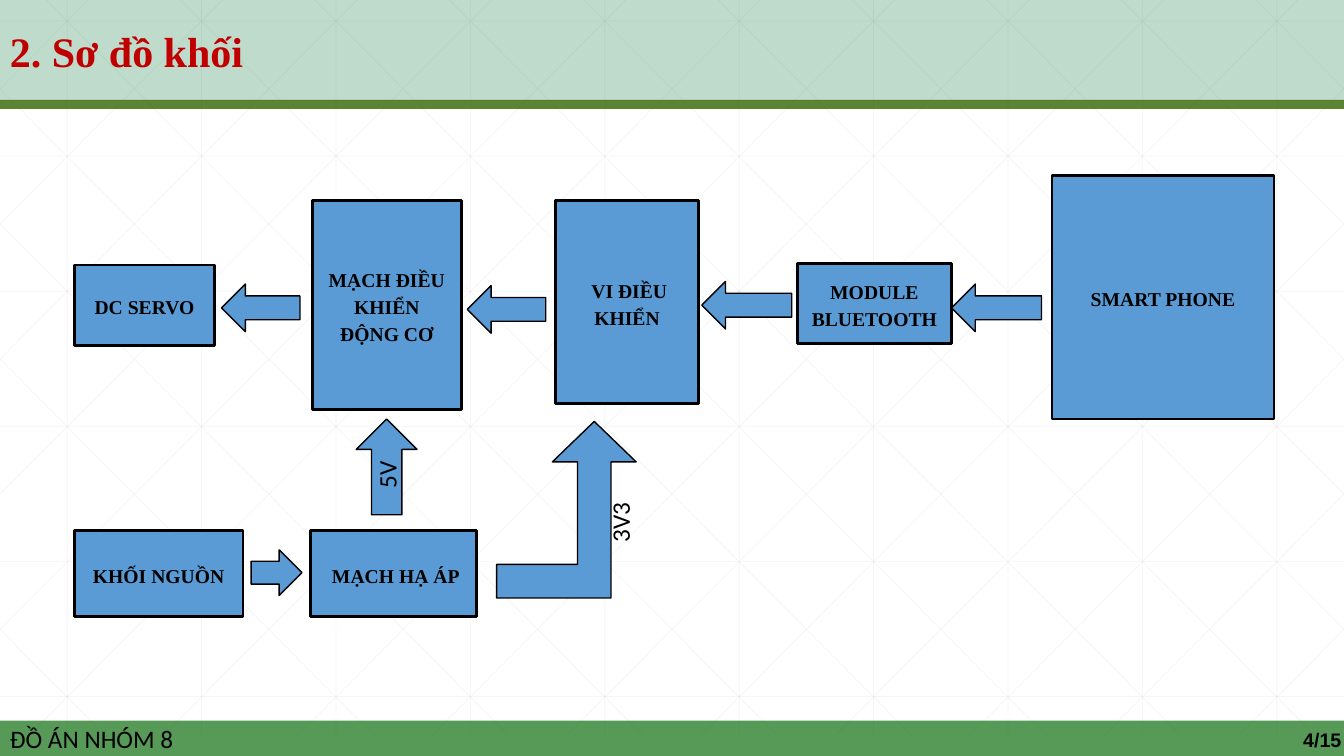
from pptx import Presentation
from pptx.dml.color import RGBColor
from pptx.enum.shapes import MSO_CONNECTOR, MSO_SHAPE
from pptx.enum.text import MSO_ANCHOR, PP_ALIGN
from pptx.oxml.ns import qn
from pptx.util import Pt
from lxml import etree

RECTANGLE = MSO_SHAPE.RECTANGLE
LEFT_ARROW = MSO_SHAPE.LEFT_ARROW
RIGHT_ARROW = MSO_SHAPE.RIGHT_ARROW
BENT_UP_ARROW = MSO_SHAPE.BENT_UP_ARROW
STRAIGHT = MSO_CONNECTOR.STRAIGHT
CENTER, LEFT = PP_ALIGN.CENTER, PP_ALIGN.LEFT
MIDDLE, TOP = MSO_ANCHOR.MIDDLE, MSO_ANCHOR.TOP

BLACK = RGBColor(0x00, 0x00, 0x00)
BLUE = RGBColor(0x5B, 0x9B, 0xD5)
RED = RGBColor(0xC0, 0x00, 0x00)
GRID_GRAY = RGBColor(0xD9, 0xD9, 0xD9)
HEADER_GREEN = RGBColor(0x00, 0x70, 0x33)
RULE_GREEN = RGBColor(0x33, 0x66, 0x00)
FOOTER_GREEN = RGBColor(0x00, 0x66, 0x00)

# Content: lengths in points, frames are (left, top, width, height)
WIDTH, HEIGHT = 960, 540
TITLE = "2. Sơ đồ khối"
FOOTER = "ĐỒ ÁN NHÓM 8"
PAGE_NUMBER = "4/15"

BLOCKS = [
    ("KHỐI NGUỒN", (53.1, 378.9, 120.5, 61.7)),
    (" VI ĐIỀU KHIỂN", (396.8, 143.2, 102.2, 145.2)),
    ("MẠCH ĐIỀU KHIỂN ĐỘNG CƠ", (223.2, 143.2, 106.2, 149.4)),
    ("MODULE BLUETOOTH", (569.5, 188.1, 110.2, 57.5)),
    ("SMART PHONE", (751.5, 125.4, 158.5, 174)),
    ("DC SERVO", (53.1, 189.3, 100.2, 57.5)),
    (" MẠCH HẠ ÁP", (221.8, 378.9, 118.4, 61.7)),
]
ARROWS = [
    (LEFT_ARROW, (158.3, 202.9, 56, 34)),
    (LEFT_ARROW, (501.3, 201, 64.3, 34)),
    (LEFT_ARROW, (679.7, 202.9, 64.3, 34)),
    (LEFT_ARROW, (333.8, 204, 56, 34)),
    (RIGHT_ARROW, (179.4, 392.8, 36.3, 32.6)),
]
SUPPLY_5V = ("5V", (242, 311.8, 68.4, 43.4))
SUPPLY_3V3 = ("3V3", (398.9, 336.2, 87.8, 29))
BENT_FRAME = (354.7, 301, 99.7, 126.1)
BENT_ADJUSTMENTS = (0.24, 0.3, 0.29)

# Background grid
GRID_TOP, GRID_BOTTOM = -15, 525
GRID_STEP = 96
ROW_STEP = 96.5
DIAGONAL_START, DIAGONAL_RUN = 18, 537
DIAGONALS = range(-5, 10)
MISSING_DIAGONAL = -4


def set_alpha(fill_parent, percent):
    color = fill_parent.find(qn("a:solidFill")).find(qn("a:srgbClr"))
    etree.SubElement(color, qn("a:alpha")).set("val", str(percent * 1000))


def write(shape, text, size=14, font="Times New Roman", color=BLACK, bold=False,
          align=LEFT, anchor=MIDDLE, line_spacing=None, space_after=None):
    frame = shape.text_frame
    frame.word_wrap = True
    frame.vertical_anchor = anchor
    paragraph = frame.paragraphs[0]
    paragraph.alignment = align
    if line_spacing:
        paragraph.line_spacing = line_spacing
    if space_after:
        paragraph.space_after = Pt(space_after)
    run = paragraph.add_run()
    run.text = text
    run.font.size = Pt(size)
    run.font.name = font
    run.font.bold = bold
    run.font.color.rgb = color


def add_shape(slide, kind, frame, fill=BLUE, line_width=None, alpha=None):
    shape = slide.shapes.add_shape(kind, *map(Pt, frame))
    shape.shadow.inherit = False
    shape.fill.solid()
    shape.fill.fore_color.rgb = fill
    if alpha:
        set_alpha(shape._element.spPr, alpha)
    if line_width:
        shape.line.color.rgb = BLACK
        shape.line.width = Pt(line_width)
    else:
        shape.line.fill.background()
    return shape


def add_grid_line(slide, *ends):
    line = slide.shapes.add_connector(STRAIGHT, *map(Pt, ends))
    line.line.color.rgb = GRID_GRAY
    line.line.width = Pt(0.5)
    properties = line._element.spPr
    set_alpha(properties.find(qn("a:ln")), 25)
    etree.SubElement(properties, qn("a:effectLst"))


def add_grid(slide):
    for column in range(10):
        x = GRID_STEP * (column + 0.5)
        add_grid_line(slide, x, GRID_TOP, x, GRID_BOTTOM)
    for row in range(6):
        y = -GRID_TOP + ROW_STEP * row
        add_grid_line(slide, 0, y, WIDTH, y)
    # Diagonals are cut at the slide's sides, then mirrored
    slope = (GRID_BOTTOM - GRID_TOP) / DIAGONAL_RUN
    for index in DIAGONALS:
        start = DIAGONAL_START + GRID_STEP * index
        x1, x2 = max(start, 0), min(start + DIAGONAL_RUN, WIDTH)
        y1, y2 = (GRID_TOP + slope * (x - start) for x in (x1, x2))
        if index != MISSING_DIAGONAL:
            add_grid_line(slide, x1, y1, x2, y2)
        add_grid_line(slide, WIDTH - x1, y1, WIDTH - x2, y2)


def main():
    presentation = Presentation()
    presentation.slide_width, presentation.slide_height = Pt(WIDTH), Pt(HEIGHT)
    slide = presentation.slides.add_slide(presentation.slide_layouts[6])
    add_grid(slide)

    # Footer band
    footer = add_shape(slide, RECTANGLE, (0, 514.8, WIDTH, 25.2), FOOTER_GREEN, alpha=66)
    write(footer, FOOTER, size=18, font="Calibri")

    # Diagram blocks
    for text, frame in BLOCKS:
        block = add_shape(slide, RECTANGLE, frame, line_width=2)
        write(block, text, bold=True, align=CENTER, line_spacing=1.15, space_after=10)

    # Title band and rule
    header = add_shape(slide, RECTANGLE, (0, 0, WIDTH, 72), HEADER_GREEN, alpha=25)
    write(header, TITLE, size=30, color=RED, bold=True)
    add_shape(slide, RECTANGLE, (0, 71.3, WIDTH, 6.5), RULE_GREEN, alpha=80)

    # Signal and supply arrows
    for kind, frame in ARROWS:
        add_shape(slide, kind, frame, line_width=1)

    text, frame = SUPPLY_5V
    arrow_5v = add_shape(slide, RIGHT_ARROW, frame, line_width=1)
    arrow_5v.rotation = 270
    write(arrow_5v, text, size=18, font="Calibri", align=CENTER)

    bent_arrow = add_shape(slide, BENT_UP_ARROW, BENT_FRAME, line_width=1)
    for index, value in enumerate(BENT_ADJUSTMENTS):
        bent_arrow.adjustments[index] = value
    text, frame = SUPPLY_3V3
    label_3v3 = slide.shapes.add_textbox(*map(Pt, frame))
    label_3v3.rotation = 270
    write(label_3v3, text, size=18, font="Calibri", anchor=TOP)

    # Page number
    page_number = slide.shapes.add_textbox(Pt(923.8), Pt(516.2), Pt(46), Pt(28.8))
    write(page_number, PAGE_NUMBER, font="Arial", bold=True, anchor=TOP)

    presentation.save("out.pptx")


if __name__ == "__main__":
    main()
